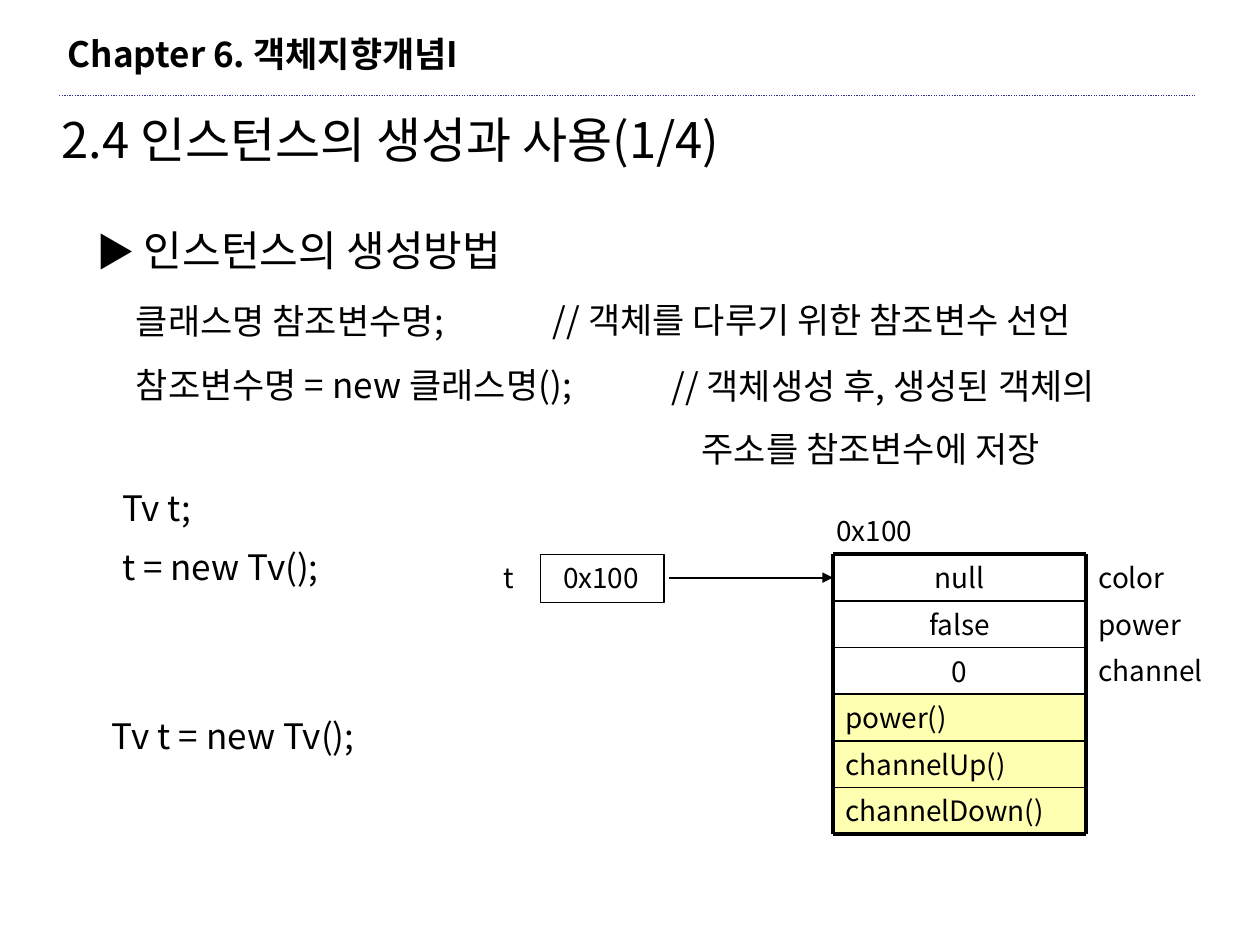
from pptx import Presentation
from pptx.dml.color import RGBColor
from pptx.enum import dml, shapes, text
from pptx.oxml import ns
from pptx.util import Inches, Pt
from lxml import etree

COLORS = {"ink": "000000", "rule": "2F2F98", "method": "FFFF66"}
FONT = "Noto Sans CJK KR"
HANG = 0.49
LEFT, RIGHT, TOP, ROW = 6.61, 8.62, 4.4, 0.37
FIELDS = [("null", "color"), ("false", "power"), ("0", "channel")]
METHODS = ["power()", "channelUp()", "channelDown()"]


def color(name):
    """Return a named colour."""
    return RGBColor.from_string(COLORS[name])


def write(box, lines, before, align=text.PP_ALIGN.LEFT, bold=False, indents=None):
    """Fill a shape with paragraphs given as lists of (wording, size) runs."""
    frame = box.text_frame
    frame.word_wrap = True
    for number, runs in enumerate(lines):
        para = frame.add_paragraph() if number else frame.paragraphs[0]
        para.alignment = align
        para.space_before = Pt(before)
        margin, first = indents[number] if indents else (0, 0)
        properties = para._p.get_or_add_pPr()
        properties.set("marL", str(Inches(margin)))
        properties.set("indent", str(Inches(first)))
        for wording, size in runs:
            span = para.add_run()
            span.text = wording
            span.font.size = Pt(size)
            span.font.bold = bold
            span.font.name = FONT
            span.font.color.rgb = color("ink")
            east = etree.SubElement(span._r.get_or_add_rPr(), ns.qn("a:ea"))
            east.set("typeface", FONT)


def add_label(page, place, lines, before, **style):
    """Add a text box that grows with its text."""
    box = page.shapes.add_textbox(*map(Inches, place))
    write(box, lines, before, **style)
    box.text_frame.auto_size = text.MSO_AUTO_SIZE.SHAPE_TO_FIT_TEXT
    return box


def add_code(page, place, *lines, size=20, before=12.5, align=text.PP_ALIGN.LEFT, last=(HANG, -HANG)):
    """Add lines of code or comment with a hanging indent."""
    indents = [(HANG, -HANG)] * (len(lines) - 1) + [last]
    runs = [[(line, size)] for line in lines]
    return add_label(page, place, runs, before, align=align, indents=indents)


def add_tag(page, left, top, width, wording, align=text.PP_ALIGN.LEFT):
    """Add a small label for the memory diagram."""
    return add_code(page, (left, top, width, ROW), wording, size=16, before=10, align=align)


def add_box(page, left, top, width, height):
    """Add a plain rectangle without fill or line."""
    box = page.shapes.add_shape(shapes.MSO_SHAPE.RECTANGLE, *map(Inches, (left, top, width, height)))
    box.shadow.inherit = False
    box.fill.background()
    box.line.fill.background()
    return box


def add_line(page, start, end, width, name="ink"):
    """Add a straight line without shadow."""
    line = page.shapes.add_connector(shapes.MSO_CONNECTOR.STRAIGHT, *map(Inches, start + end))
    line.line.color.rgb = color(name)
    line.line.width = Pt(width)
    etree.SubElement(line._element.spPr, ns.qn("a:effectLst"))
    return line


def add_heading(page):
    """Add the chapter line, its rule and the title."""
    rule = add_line(page, (0.47, 0.76), (9.49, 0.76), 0.75, "rule")
    rule.line.dash_style = dml.MSO_LINE.ROUND_DOT
    add_label(page, (0.44, 0.21, 4.17, 0.44), [[("Chapter 6. 객체지향개념I", 20)]], 12.5, bold=True)
    title = page.shapes.title
    title.left, title.top, title.width, title.height = map(Inches, (0.39, 0.82, 8.5, 0.57))
    write(title, [[("2.4 인스턴스의 생성과 사용(1/4)", 28)]], 17.5)
    title.text_frame.vertical_anchor = text.MSO_ANCHOR.TOP
    title.text_frame.auto_size = text.MSO_AUTO_SIZE.SHAPE_TO_FIT_TEXT


def add_cell(page, row, wording, is_method):
    """Add one row of the object in memory."""
    cell = add_box(page, LEFT, TOP + row * ROW, RIGHT - LEFT, ROW)
    if is_method:
        cell.fill.solid()
        cell.fill.fore_color.rgb = color("method")
        tint = cell._element.spPr.find(".//" + ns.qn("a:srgbClr"))
        etree.SubElement(tint, ns.qn("a:alpha")).set("val", "50000")
    align = text.PP_ALIGN.LEFT if is_method else text.PP_ALIGN.CENTER
    write(cell, [[(wording, 16)]], 4, align=align)
    return cell


def add_object(page):
    """Add the object in memory and return its first cell."""
    rows = [(value, False) for value, _ in FIELDS] + [(name, True) for name in METHODS]
    cells = [add_cell(page, row, *content) for row, content in enumerate(rows)]
    bottom = TOP + len(rows) * ROW
    for row in range(len(rows) + 1):
        height = TOP + row * ROW
        add_line(page, (LEFT, height), (RIGHT, height), 2.25 if row in (0, len(rows)) else 1)
    for side in (LEFT, RIGHT):
        add_line(page, (side, TOP), (side, bottom), 2.25)
    for row, (_, field) in enumerate(FIELDS):
        add_tag(page, RIGHT, TOP + row * ROW, 1.26, field)
    add_tag(page, 6.54, TOP - ROW, 1.02, "0x100")
    return cells[0]


def add_reference(page, target):
    """Add the variable t and its arrow to the object."""
    frame = add_box(page, 4.29, TOP, 0.98, 0.38)
    frame.line.color.rgb = color("ink")
    frame.line.width = Pt(0.75)
    add_tag(page, 3.9, TOP, 1.04, "t")
    address = add_tag(page, 4.23, TOP, 1.08, "0x100", text.PP_ALIGN.CENTER)
    arrow = add_line(page, (5.31, 4.6), (LEFT, 4.6), 1)
    arrow.begin_connect(address, 3)
    arrow.end_connect(target, 1)
    etree.SubElement(arrow.line._get_or_add_ln(), ns.qn("a:tailEnd")).set("type", "triangle")


def main():
    """Build the slide."""
    deck = Presentation()
    deck.slide_width, deck.slide_height = Inches(10), Inches(7.5)
    page = deck.slides.add_slide(deck.slide_layouts[5])
    add_heading(page)
    add_label(page, (0.67, 1.73, 4.21, 0.5), [[("▶ ", 22), ("인스턴스의 생성방법", 24)]], 15,
              indents=[(HANG, -HANG)])
    add_code(page, (0.98, 2.33, 4.53, 0.94), "클래스명 참조변수명;", "참조변수명 = new 클래스명();")
    add_code(page, (4.29, 2.32, 5.35, 0.44), "// 객체를 다루기 위한 참조변수 선언")
    add_code(page, (5.23, 2.84, 4.57, 0.94), "// 객체생성 후, 생성된 객체의",
             "주소를 참조변수에 저장", last=(0.24, 0))
    add_code(page, (0.87, 3.81, 1.69, 0.44), "Tv t;")
    add_code(page, (0.87, 4.28, 2.52, 0.44), "t = new Tv();")
    add_code(page, (0.79, 5.62, 3.07, 0.44), "Tv t = new Tv();")
    add_reference(page, add_object(page))
    deck.save("out.pptx")


if __name__ == "__main__":
    main()
